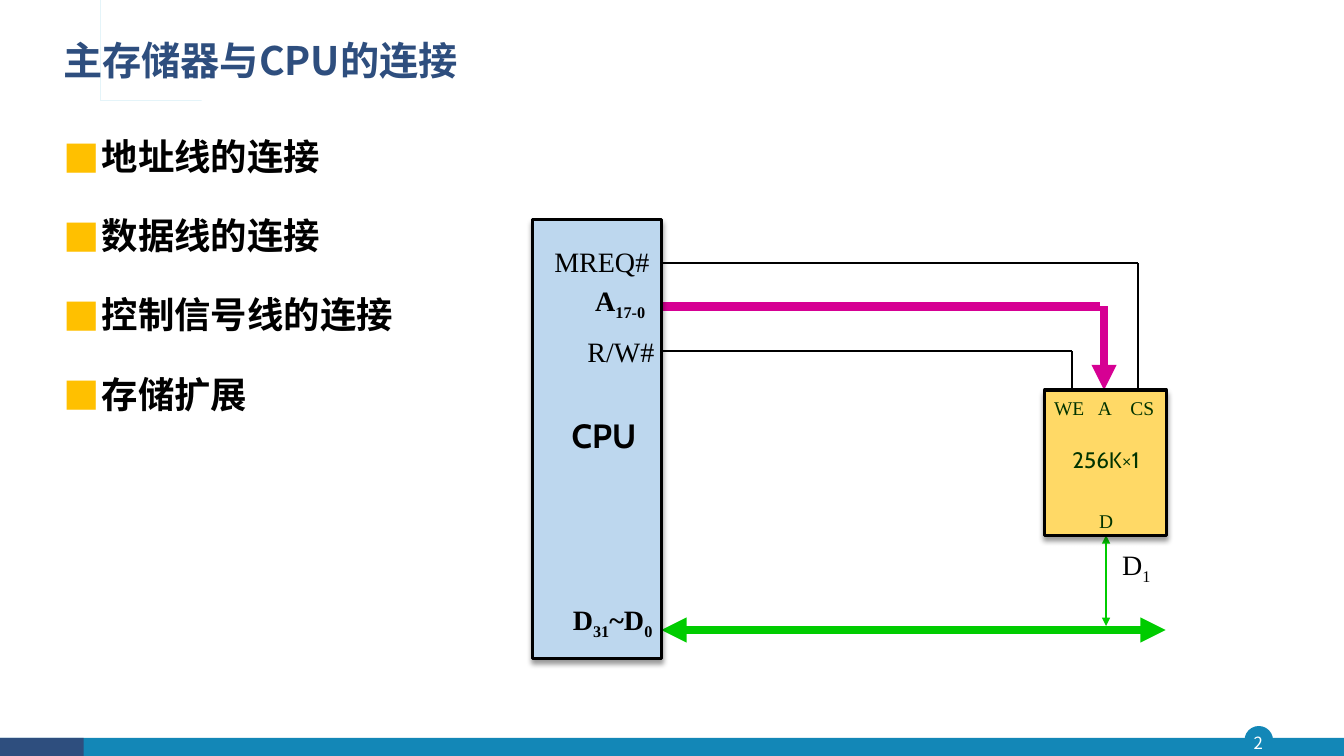
from lxml import etree
from pptx import Presentation, util as u
from pptx.dml.color import RGBColor
from pptx.enum import shapes, text
from pptx.oxml.ns import qn

# Content
SANS, SERIF, LATIN = "Noto Sans CJK SC", "Times New Roman", "Cabin"
TITLE = "主存储器与CPU的连接"
TOPICS = ["地址线的连接", "数据线的连接", "控制信号线的连接", "存储扩展"]
NAVY, BLUE, SKY = "2E4E7E", "1387B7", "28A9D6"
BLACK, PINK, GREEN, FOREST = "000000", "D60093", "00CC00", "003300"

# Layout in inches: left, top, width, height
WIDE, HIGH = 13.33, 7.5
CPU = (5.28, 2.18, 1.28, 4.35)
CHIP = (10.36, 3.87, 1.21, 1.44)
CPU_RIGHT = CPU[0] + CPU[2]
CHIP_TOP, CHIP_BOTTOM = CHIP[1], CHIP[1] + CHIP[3]
MREQ_Y, ADDRESS_Y, WRITE_Y, DATA_Y = 2.61, 3.04, 3.48, 6.25
WE_X, ADDRESS_X, DATA_X, CS_X = 10.63, 10.95, 10.97, 11.29

# Pin labels: spans as (text, baseline shift), left, top, width, bold
PINS = [
    ([("A", 0), ("17-0", -25)], 5.29, 2.8, 1.12, True),
    ([("MREQ#", 0)], 5.33, 2.42, 1.12, False),
    ([("R/W#", 0)], 5.38, 3.31, 1.12, False),
    ([("D", 0), ("31", -25), ("~D", 0), ("0", -25)], 5.36, 5.97, 1.12, True),
    ([("D", 0), ("1", -25)], 10.94, 5.42, 0.48, False),
]
# Chip labels: text, left, top, width
CHIP_PINS = [("WE", 10.33, 3.84, 0.55), ("D", 10.79, 4.96, 0.36),
             ("A", 10.78, 3.84, 0.36), ("CS", 11.09, 3.84, 0.48)]
# Wires: start, end, colour, width, arrow ends
WIRES = [
    ((CS_X, CHIP_TOP), (CS_X, MREQ_Y), BLACK, 1.5, ()),
    ((WE_X, CHIP_TOP), (WE_X, WRITE_Y), BLACK, 1.5, ()),
    ((CPU_RIGHT, WRITE_Y), (WE_X, WRITE_Y), BLACK, 1.5, ()),
    ((CPU_RIGHT, ADDRESS_Y), (10.91, ADDRESS_Y), PINK, 6, ()),
    ((ADDRESS_X, ADDRESS_Y), (ADDRESS_X, CHIP_TOP), PINK, 6, ("tailEnd",)),
    ((CPU_RIGHT, DATA_Y), (11.56, DATA_Y), GREEN, 6, ("headEnd", "tailEnd")),
    ((CPU_RIGHT, MREQ_Y), (CS_X, MREQ_Y), BLACK, 1.5, ()),
    ((DATA_X, CHIP_BOTTOM), (DATA_X, 6.21), GREEN, 1.5, ("headEnd", "tailEnd")),
]
BRACKET = [(0.54, 0.39), (0.54, 0.85), (1.87, 0.85), (1.87, 0.87), (0.52, 0.87),
           (0.52, 0.41), (0.47, 0.41), (0.47, 0.87), (0.36, 0.87), (0.36, 0.39),
           (0.39, 0.39), (0.39, 0.84), (0.44, 0.84), (0.44, 0.39)]

deck = Presentation()
deck.slide_width, deck.slide_height = u.Inches(WIDE), u.Inches(HIGH)
page = deck.slides.add_slide(deck.slide_layouts[6])


def colour(value):
    return RGBColor.from_string(value)


def add_xml(parent, tag, **attributes):
    return etree.SubElement(parent, qn("a:" + tag), attributes)


def paint(shape, fill, line=None, width=1, shadow=False):
    shape.shadow.inherit = False
    shape.fill.solid()
    shape.fill.fore_color.rgb = colour(fill)
    if line:
        shape.line.color.rgb = colour(line)
        shape.line.width = u.Pt(width)
    else:
        shape.line.fill.background()
    if shadow:
        effects = shape._element.spPr.find(qn("a:effectLst"))
        cast = add_xml(effects, "outerShdw", blurRad=str(u.Pt(4)), dist=str(u.Pt(3)),
                       dir="5400000", algn="t", rotWithShape="0")
        add_xml(add_xml(cast, "srgbClr", val=BLACK), "alpha", val="40000")


def add_block(area, fill, kind=shapes.MSO_SHAPE.RECTANGLE, **style):
    shape = page.shapes.add_shape(kind, *map(u.Inches, area))
    paint(shape, fill, **style)


def add_wire(start, end, tint, width, arrows):
    wire = page.shapes.add_connector(shapes.MSO_CONNECTOR.STRAIGHT,
                                     *map(u.Inches, start + end))
    wire.line.color.rgb = colour(tint)
    wire.line.width = u.Pt(width)
    for end_name in arrows:
        add_xml(wire.line._ln, end_name, type="triangle")
    add_xml(wire._element.spPr, "effectLst")


def add_text(paras, area, size, font=SERIF, tint=BLACK, bold=False,
             align=text.PP_ALIGN.LEFT, middle=False, inset=None, wrap=True,
             leading=None, before=0, bullet=None):
    box = page.shapes.add_textbox(*map(u.Inches, area))
    frame = box.text_frame
    frame.word_wrap = wrap
    if middle:
        frame.vertical_anchor = text.MSO_ANCHOR.MIDDLE
    if inset is not None:
        frame.margin_left = frame.margin_right = u.Inches(inset)
        frame.margin_top = frame.margin_bottom = u.Inches(inset)
    for index, spans in enumerate(paras):
        para = frame.add_paragraph() if index else frame.paragraphs[0]
        para.alignment = align
        if leading:
            para.line_spacing = leading
        if index and before:
            para.space_before = u.Pt(before)
        if bullet:
            props = para._p.get_or_add_pPr()
            props.set("marL", str(u.Inches(0.38)))
            props.set("indent", str(-u.Inches(0.38)))
            add_xml(add_xml(props, "buClr"), "srgbClr", val=bullet)
            add_xml(props, "buFont", typeface=SANS)
            add_xml(props, "buChar", char="■")
        for words, shift in spans:
            span = para.add_run()
            span.text = words
            span.font.size, span.font.bold = u.Pt(size), bold
            span.font.color.rgb = colour(tint)
            span.font.name = font
            props = span.font._element
            add_xml(props, "ea", typeface=font)
            if shift:
                props.set("baseline", str(shift * 1000))


# Footer and page number
add_block((12.35, 7.21, 0.27, 0.27), BLUE, shapes.MSO_SHAPE.OVAL, line=BLUE)
add_block((0, 7.32, WIDE, 0.18), BLUE)
add_block((0, 7.32, 0.83, 0.18), NAVY)
add_text([[("2", 0)]], (12.32, 7.21, 0.32, 0.31), 12, font=SANS, tint="FFFFFF",
         align=text.PP_ALIGN.CENTER, middle=True, inset=0)

# Title with its bracket
builder = page.shapes.build_freeform(*BRACKET[0], scale=u.Inches(1))
builder.add_line_segments(BRACKET[1:], close=True)
paint(builder.convert_to_shape(), SKY)
add_text([[(TITLE, 0)]], (0.53, 0.28, 11.5, 0.68), 28, font=SANS, tint=NAVY,
         bold=True, middle=True, leading=0.9)

# Topics
add_text([[(topic, 0)] for topic in TOPICS], (0.53, 1.03, 6.57, 6.16), 26,
         font=SANS, bold=True, align=text.PP_ALIGN.JUSTIFY, leading=u.Pt(49.5),
         before=7, bullet="FFC000")

# Wires, then the processor and memory chip over their ends
for wire_data in WIRES:
    add_wire(*wire_data)
add_block(CPU, "BDD7EE", line=BLACK, width=2.25, shadow=True)
add_block(CHIP, "FFD966", line=BLACK, width=2.25, shadow=True)

# Labels
for spans, left, top, width, bold in PINS:
    add_text([spans], (left, top, width, 0.56), 20, bold=bold,
             align=text.PP_ALIGN.RIGHT, inset=0.01)
add_text([[("CPU", 0)]], (5.2, 4.11, 1.12, 0.56), 24, font=LATIN, bold=True,
         align=text.PP_ALIGN.RIGHT, inset=0.01)
for label, left, top, width in CHIP_PINS:
    add_text([[(label, 30)]], (left, top, width, 0.5), 24, tint=FOREST,
             align=text.PP_ALIGN.CENTER, wrap=False)
add_text([[("256K×1", 0)]], (10.34, 4.38, 1.26, 0.37), 16, font=LATIN, tint=FOREST,
         align=text.PP_ALIGN.CENTER)

deck.save("out.pptx")
